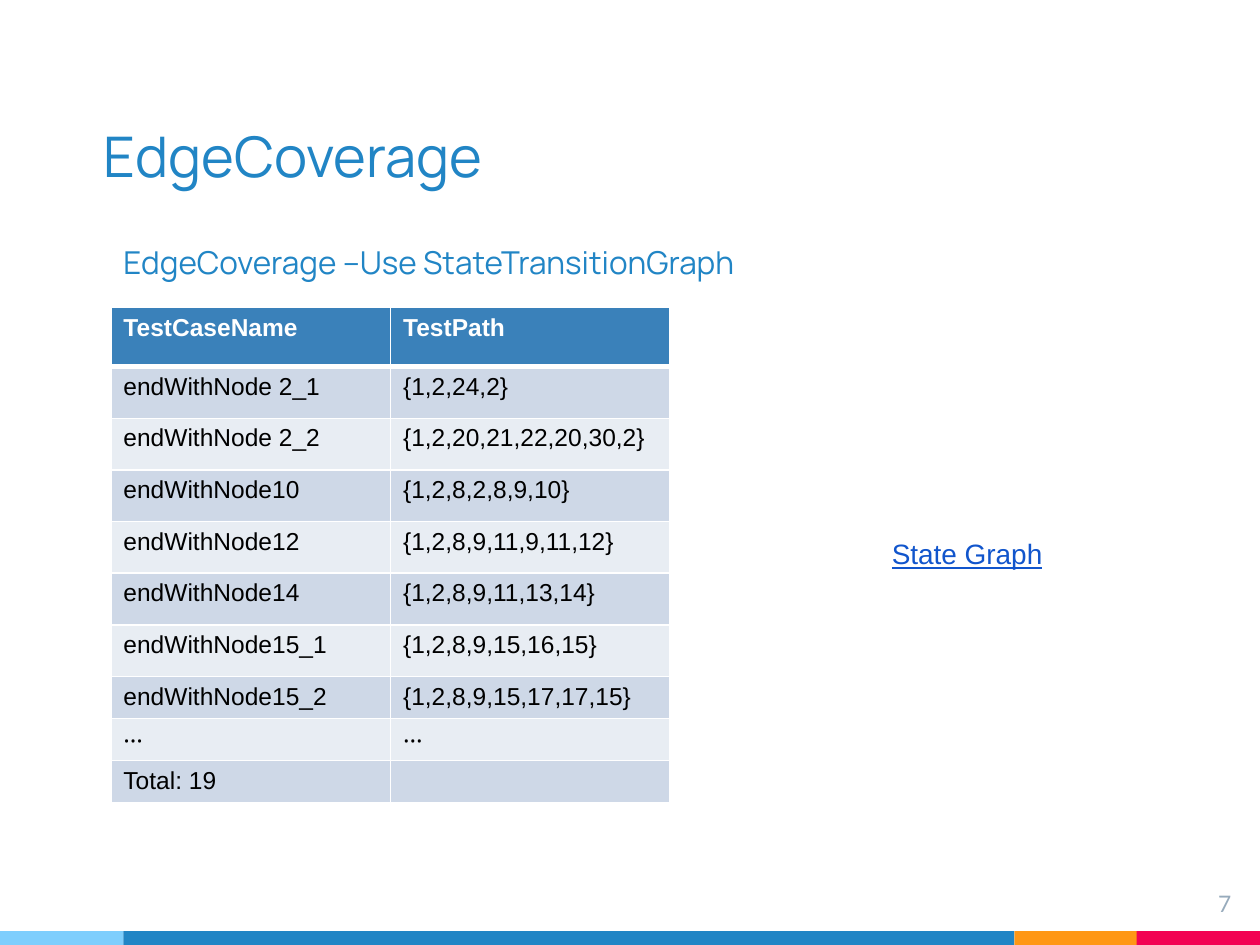
from dataclasses import dataclass

from lxml import etree
from pptx import Presentation
from pptx.dml.color import RGBColor
from pptx.enum.shapes import MSO_SHAPE
from pptx.enum.text import MSO_ANCHOR, PP_ALIGN
from pptx.oxml.ns import qn
from pptx.util import Inches, Pt

RECTANGLE = MSO_SHAPE.RECTANGLE
TOP, BOTTOM = MSO_ANCHOR.TOP, MSO_ANCHOR.BOTTOM
LEFT, RIGHT = PP_ALIGN.LEFT, PP_ALIGN.RIGHT

BLUE = RGBColor(0x21, 0x85, 0xC5)
SKY = RGBColor(0x7E, 0xCE, 0xFD)
ORANGE = RGBColor(0xFF, 0x97, 0x15)
RED = RGBColor(0xF2, 0x02, 0x53)
GRAY = RGBColor(0x97, 0xAB, 0xBC)
LINK = RGBColor(0x11, 0x55, 0xCC)
HEADER = RGBColor(0x3A, 0x81, 0xBA)
BANDS = (RGBColor(0xCE, 0xD8, 0xE7), RGBColor(0xE8, 0xED, 0xF3))
BLACK = RGBColor(0, 0, 0)
WHITE = RGBColor(0xFF, 0xFF, 0xFF)


@dataclass
class Bar:
    left: float
    width: float
    color: RGBColor


@dataclass
class Label:
    text: str
    left: float
    top: float
    width: float
    height: float
    size: int
    font: str
    color: RGBColor
    inset: float = 0.05
    anchor: MSO_ANCHOR = TOP
    align: PP_ALIGN = LEFT
    underline: bool = False


BARS = [
    Bar(8.05, 0.98, ORANGE),
    Bar(9.02, 0.98, RED),
    Bar(0, 0.98, SKY),
    Bar(0.98, 7.07, BLUE),
]

LABELS = [
    Label("EdgeCoverage", 0.72, 0.84, 7.07, 0.76, 32, "Manrope", BLUE,
          inset=0.1, anchor=BOTTOM),
    Label("7", 9.27, 6.96, 0.6, 0.46, 13, "Lato", GRAY, inset=0.1, align=RIGHT),
    Label("EdgeCoverage –Use StateTransitionGraph", 0.88, 1.88, 5.32, 0.4,
          18, "Manrope", BLUE),
    Label("State Graph", 6.98, 4.21, 1.51, 0.37, 16, "Arial", LINK, underline=True),
]

TEST_CASES = [
    ("TestCaseName", "TestPath"),
    ("endWithNode 2_1", "{1,2,24,2}"),
    ("endWithNode 2_2", "{1,2,20,21,22,20,30,2}"),
    ("endWithNode10", "{1,2,8,2,8,9,10}"),
    ("endWithNode12", "{1,2,8,9,11,9,11,12}"),
    ("endWithNode14", "{1,2,8,9,11,13,14}"),
    ("endWithNode15_1", "{1,2,8,9,15,16,15}"),
    ("endWithNode15_2", "{1,2,8,9,15,17,17,15}"),
    ("‧‧‧", "‧‧‧"),
    ("Total: 19", ""),
]
ROW_HEIGHTS = [0.47] + [0.41] * 6 + [0.33] * 3
COLUMN_WIDTH = 2.22


def draw_bar(page, bar: Bar) -> None:
    shape = page.shapes.add_shape(RECTANGLE, Inches(bar.left), Inches(7.39),
                                  Inches(bar.width), Inches(0.11))
    shape.shadow.inherit = False
    shape.fill.solid()
    shape.fill.fore_color.rgb = bar.color
    shape.line.fill.background()


def draw_label(page, label: Label) -> None:
    box = page.shapes.add_textbox(Inches(label.left), Inches(label.top),
                                  Inches(label.width), Inches(label.height))
    frame = box.text_frame
    frame.word_wrap = True
    frame.vertical_anchor = label.anchor
    frame.margin_left = frame.margin_right = Inches(max(label.inset, 0.1))
    frame.margin_top = frame.margin_bottom = Inches(label.inset)
    para = frame.paragraphs[0]
    para.text = label.text
    para.alignment = label.align
    para.font.name = label.font
    para.font.size = Pt(label.size)
    para.font.color.rgb = label.color
    para.font.underline = label.underline


def add_border(cell, side: str, points: float) -> None:
    properties = cell._tc.get_or_add_tcPr()
    line = etree.SubElement(properties, qn(f"a:ln{side}"), w=str(Pt(points)))
    fill = etree.SubElement(line, qn("a:solidFill"))
    etree.SubElement(fill, qn("a:srgbClr"), val=str(WHITE))


def fill_cell(cell, text: str, row: int) -> None:
    is_header = row == 0
    for side in "LRTB":
        thick = (is_header and side == "B") or (row == 1 and side == "T")
        add_border(cell, side, 3 if thick else 1)
    cell.fill.solid()
    cell.fill.fore_color.rgb = HEADER if is_header else BANDS[(row - 1) % 2]
    para = cell.text_frame.paragraphs[0]
    para.text = text
    para.font.name = "Arial"
    para.font.size = Pt(14)
    para.font.bold = is_header
    para.font.color.rgb = WHITE if is_header else BLACK
    if not text:  # keeps the empty cell from stretching its row
        etree.SubElement(para._p, qn("a:endParaRPr"), sz="1400")


def draw_table(page) -> None:
    frame = page.shapes.add_table(len(TEST_CASES), 2, Inches(0.88), Inches(2.44),
                                  Inches(2 * COLUMN_WIDTH), Inches(sum(ROW_HEIGHTS)))
    table = frame.table
    for column in table.columns:
        column.width = Inches(COLUMN_WIDTH)
    for row, (texts, height) in enumerate(zip(TEST_CASES, ROW_HEIGHTS)):
        table.rows[row].height = Inches(height)
        for column, text in enumerate(texts):
            fill_cell(table.cell(row, column), text, row)


def main() -> None:
    deck = Presentation()
    deck.slide_width, deck.slide_height = Inches(10), Inches(7.5)
    page = deck.slides.add_slide(deck.slide_layouts[6])

    # Footer stripe
    for bar in BARS:
        draw_bar(page, bar)
    # Title, page number, subtitle and link
    for label in LABELS:
        draw_label(page, label)
    # Test cases
    draw_table(page)

    deck.save("out.pptx")


if __name__ == "__main__":
    main()
